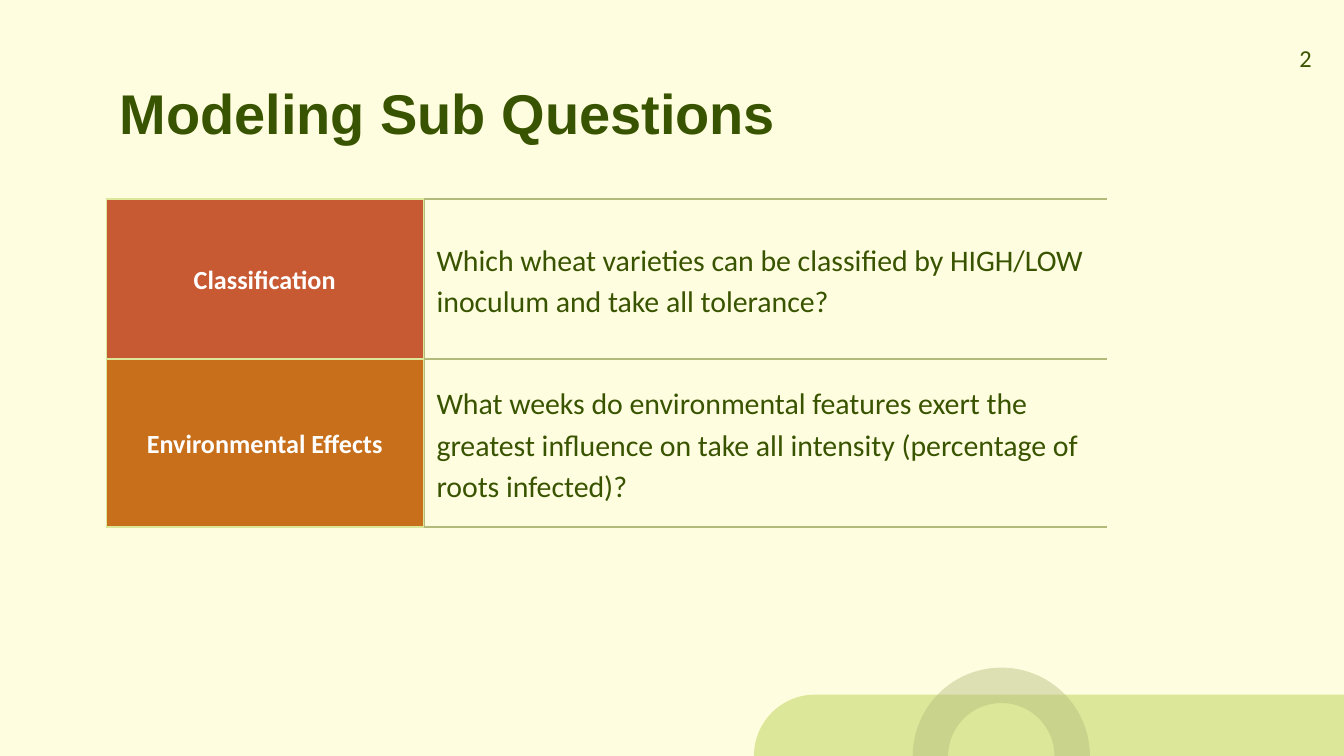
from lxml.etree import SubElement
from pptx import Presentation
from pptx.dml.color import RGBColor
from pptx.enum.shapes import MSO_SHAPE
from pptx.enum.text import MSO_ANCHOR, MSO_AUTO_SIZE, PP_ALIGN
from pptx.oxml.ns import qn
from pptx.util import Cm, Pt

CREAM = RGBColor(0xFF, 0xFD, 0xDF)
LIME = RGBColor(0xDD, 0xE7, 0x99)
SAGE = RGBColor(0xB3, 0xBB, 0x7B)
GREEN = RGBColor(0x39, 0x54, 0x00)
RUST = RGBColor(0xC8, 0x5A, 0x33)
OCHRE = RGBColor(0xC8, 0x6F, 0x1B)
WHITE = RGBColor(0xFF, 0xFF, 0xFF)

LEFT, TOP = 2.01, 3.76
LABEL_W, QUESTION_W = 5.99, 12.93
ROWS = [
    ("Classification", RUST, 3.03,
     "Which wheat varieties can be classified by HIGH/LOW inoculum and take all tolerance?"),
    ("Environmental Effects", OCHRE, 3.17,
     "What weeks do environmental features exert the greatest influence on "
     "take all intensity (percentage of roots infected)?"),
]


def write(tf, text, size, font="Calibri", color=GREEN, bold=False,
          align=PP_ALIGN.LEFT, spacing=None, after=None):
    p = tf.paragraphs[0]
    p.alignment = align
    if spacing is not None:
        p.line_spacing = spacing
    if after is not None:
        p.space_after = Pt(after)
    r = p.add_run()
    r.text = text
    r.font.size = Pt(size)
    r.font.name = font
    r.font.bold = bold
    r.font.color.rgb = color


class Deck:
    margin = Cm(0.25)

    def __init__(self, width, height):
        self.prs = Presentation()
        self.prs.slide_width, self.prs.slide_height = Cm(width), Cm(height)
        self.s = self.prs.slides.add_slide(self.prs.slide_layouts[5])
        self.s.background.fill.solid()
        self.s.background.fill.fore_color.rgb = CREAM

    def frame(self, sp, anchor):
        tf = sp.text_frame
        tf.word_wrap = True
        tf.auto_size = MSO_AUTO_SIZE.NONE
        tf.vertical_anchor = anchor
        tf.margin_left = tf.margin_right = self.margin
        tf.margin_top = tf.margin_bottom = self.margin
        return tf

    def title(self, text, x, y, w, h):
        sp = self.s.shapes.title
        sp.left, sp.top, sp.width, sp.height = Cm(x), Cm(y), Cm(w), Cm(h)
        write(self.frame(sp, MSO_ANCHOR.TOP), text, 30, font="Arial", bold=True)

    def text(self, text, x, y, w, h, **fmt):
        sp = self.s.shapes.add_textbox(Cm(x), Cm(y), Cm(w), Cm(h))
        write(self.frame(sp, MSO_ANCHOR.TOP), text, **fmt)

    def shape(self, kind, x, y, w, h, fill, line=None, adj=(), alpha=None):
        sp = self.s.shapes.add_shape(kind, Cm(x), Cm(y), Cm(w), Cm(h))
        sp.shadow.inherit = False
        sp.fill.solid()
        sp.fill.fore_color.rgb = fill
        if line is None:
            sp.line.fill.background()
        else:
            sp.line.color.rgb = line
            sp.line.width = Pt(0.75)
        for i, value in enumerate(adj):
            sp.adjustments[i] = value
        if alpha is not None:
            clr = sp.fill._xPr.find(".//" + qn("a:srgbClr"))
            SubElement(clr, qn("a:alpha"), val=str(alpha * 1000))
        return sp

    def label(self, text, x, y, w, h, fill):
        sp = self.shape(MSO_SHAPE.RECTANGLE, x, y, w, h, fill, line=LIME)
        write(self.frame(sp, MSO_ANCHOR.MIDDLE), text, 14, color=WHITE,
              bold=True, align=PP_ALIGN.CENTER)

    def borders(self, cell, sides):
        tcPr = cell._tc.get_or_add_tcPr()
        for i, side in enumerate("LRTB"):
            ln = SubElement(tcPr, qn("a:ln" + side), w=str(Pt(1.5)))
            if side in sides:
                fill = SubElement(ln, qn("a:solidFill"))
                SubElement(fill, qn("a:srgbClr"), val=str(SAGE))
            else:
                SubElement(ln, qn("a:noFill"))

    def table(self, x, y, widths, heights, questions):
        gf = self.s.shapes.add_table(len(heights), len(widths), Cm(x), Cm(y),
                                     Cm(sum(widths)), Cm(sum(heights)))
        tbl = gf.table
        tbl.first_row = tbl.horz_banding = False
        for col, w in zip(tbl.columns, widths):
            col.width = Cm(w)
        for row, h, question in zip(tbl.rows, heights, questions):
            row.height = Cm(h)
            for cell, sides in zip(row.cells, ("RTB", "LTB")):
                self.borders(cell, sides)
                cell.fill.background()
            cell = row.cells[1]
            cell.vertical_anchor = MSO_ANCHOR.MIDDLE
            cell.margin_left = cell.margin_right = self.margin
            cell.margin_top = cell.margin_bottom = 0
            write(cell.text_frame, question, 16, spacing=1.15, after=12)


def main():
    deck = Deck(25.4, 14.29)
    bar = deck.shape(MSO_SHAPE.ROUND_2_SAME_RECTANGLE, 18.67, 8.71, 2.31, 11.15,
                     LIME, adj=(0.5, 0))
    bar.rotation = 270
    deck.shape(MSO_SHAPE.BLOCK_ARC, 17.25, 12.62, 3.35, 3.35, SAGE,
               adj=(108, 0.94, 0.2), alpha=44)
    deck.title("Modeling Sub Questions", LEFT, 1.24, 21.41, 1.6)

    labels, fills, heights, questions = zip(*ROWS)
    deck.table(LEFT, TOP, (LABEL_W, QUESTION_W), heights, questions)
    y = TOP
    for text, fill, h in zip(labels, fills, heights):
        deck.label(text, LEFT, y, LABEL_W, h, fill)
        y += h

    deck.text("2", 23.52, 0.56, 1.52, 1.09, size=13, align=PP_ALIGN.RIGHT)
    deck.prs.save("out.pptx")


if __name__ == "__main__":
    main()
